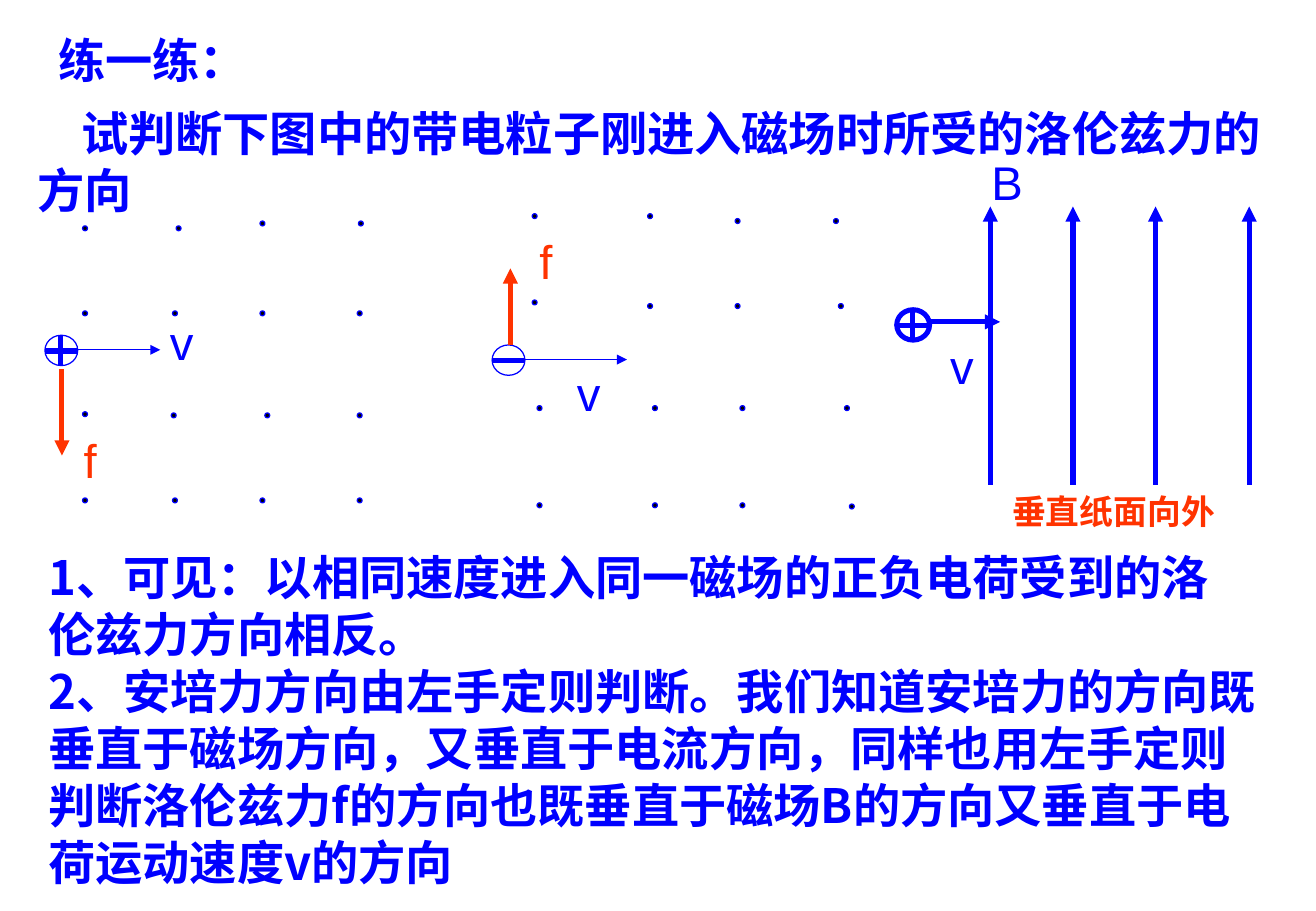
import pptx
import pptx.util
import pptx.dml.color
import pptx.enum.shapes
import pptx.enum.text
import pptx.oxml.ns
import lxml.etree

PX = 9144
BLUE = pptx.dml.color.RGBColor(0x00, 0x00, 0xFF)
RED = pptx.dml.color.RGBColor(0xFF, 0x33, 0x00)
BLACK = pptx.dml.color.RGBColor(0x00, 0x00, 0x00)
WHITE = pptx.dml.color.RGBColor(0xFF, 0xFF, 0xFF)
LATIN = "Arial"
CJK = "Noto Sans CJK SC"
CJK_LEADING = 1.207
DOT = 4
CHARGE_W, CHARGE_H = 27, 25
THIN, THICK = 0.75, 3

LEFT_DOTS = [
    (31, 4), (108, 4), (177, 0), (258, 0),
    (31, 74), (105, 74), (177, 74), (257, 74),
    (31, 157), (104, 158), (181, 158), (257, 158),
    (31, 228), (105, 228), (177, 228), (257, 228),
]
MIDDLE_DOTS = [
    (33, 0), (128, 0), (200, 4), (281, 4),
    (33, 71), (128, 74), (200, 74), (285, 74),
    (37, 158), (132, 158), (204, 158), (290, 158),
    (37, 238), (132, 238), (204, 238), (294, 239),
]


def sub(parent, tag, **attrs):
    """Append a DrawingML element to a parent."""
    return lxml.etree.SubElement(parent, pptx.oxml.ns.qn(tag), **attrs)


def add_ellipse(shapes, x, y, w, h, fill, weight):
    """Draw a blue-edged ellipse."""
    sp = shapes.add_shape(pptx.enum.shapes.MSO_SHAPE.OVAL, x * PX, y * PX, w * PX, h * PX)
    sp.shadow.inherit = False
    sp.fill.solid()
    sp.fill.fore_color.rgb = fill
    sp.line.color.rgb = BLUE
    sp.line.width = pptx.util.Pt(weight)


def add_line(shapes, x1, y1, x2, y2, weight=THICK, color=BLUE, arrow=False):
    """Draw a straight line, with an arrowhead at its end if asked."""
    cn = shapes.add_connector(
        pptx.enum.shapes.MSO_CONNECTOR.STRAIGHT, x1 * PX, y1 * PX, x2 * PX, y2 * PX)
    cn.line.color.rgb = color
    cn.line.width = pptx.util.Pt(weight)
    if arrow:
        sub(cn.line._get_or_add_ln(), "a:tailEnd", type="triangle")
    sub(cn._element.spPr, "a:effectLst")


def add_text(shapes, x, y, w, h, text, size=28, color=BLUE, font=LATIN,
             bold=False, wrap=False, indent=0):
    """Place a one-paragraph text box."""
    tf = shapes.add_textbox(x * PX, y * PX, w * PX, h * PX).text_frame
    tf.word_wrap = wrap
    tf.auto_size = pptx.enum.text.MSO_AUTO_SIZE.SHAPE_TO_FIT_TEXT
    p = tf.paragraphs[0]
    if indent:
        p._p.get_or_add_pPr().set("indent", str(indent * PX))
    r = p.add_run()
    r.text = text
    r.font.name = font
    r.font.size = pptx.util.Pt(size)
    r.font.bold = bold
    r.font.color.rgb = color
    if bold:
        p.line_spacing = pptx.util.Pt(size * CJK_LEADING)
        sub(r._r.get_or_add_rPr(), "a:ea", typeface=CJK)


def add_charge(shapes, x, y, positive, weight=THIN):
    """Draw a charged particle with its sign."""
    add_ellipse(shapes, x, y, CHARGE_W, CHARGE_H, WHITE, weight)
    add_line(shapes, x, y + 13, x + CHARGE_W, y + 13)
    if positive:
        add_line(shapes, x + 13, y, x + 13, y + CHARGE_H)


def add_dots(shapes, x, y, dots):
    """Draw field dots that point out of the page."""
    for dx, dy in dots:
        add_ellipse(shapes, x + dx, y + dy, DOT, DOT, BLACK, THIN)


def add_left_field(s, x, y):
    """Draw the positive charge in the outward field."""
    shapes = s.shapes.add_group_shape().shapes
    add_dots(shapes, x, y, LEFT_DOTS)
    add_charge(shapes, x, y + 94, True)
    add_line(shapes, x + 27, y + 106, x + 95, y + 106, THIN, arrow=True)
    add_text(shapes, x + 93, y + 71, 43, 57, "v")
    add_line(shapes, x + 14, y + 122, x + 14, y + 193, color=RED, arrow=True)
    add_text(shapes, x + 22, y + 168, 34, 57, "f", color=RED)


def add_middle_field(s, x, y):
    """Draw the negative charge in the outward field."""
    shapes = s.shapes.add_group_shape().shapes
    add_dots(shapes, x, y, MIDDLE_DOTS)
    add_charge(shapes, x, y + 108, False)
    add_line(shapes, x + 26, y + 120, x + 111, y + 120, THIN, arrow=True)
    add_text(shapes, x + 60, y + 119, 43, 57, "v")
    add_line(shapes, x + 15, y + 108, x + 15, y + 45, color=RED, arrow=True)
    add_text(shapes, x + 29, y + 10, 33, 57, "f", color=RED)


def add_right_field(s, x, y):
    """Draw the positive charge entering the upward field."""
    shapes = s.shapes.add_group_shape().shapes
    for dx in (77, 145, 213, 290):
        add_line(shapes, x + dx, y + 229, x + dx, y, arrow=True)
    add_charge(shapes, x, y + 85, True, THICK)
    add_line(shapes, x + 25, y + 95, x + 85, y + 95, arrow=True)
    add_text(shapes, x + 34, y + 103, 43, 57, "v")
    add_text(shapes, x + 68, y - 49, 50, 57, "B")
    add_text(s.shapes, x + 85, y + 229, 222, 43, "垂直纸面向外", 20, RED, bold=True, wrap=True)


def add_question(s, x, y):
    """Write the heading and the question."""
    add_text(s.shapes, x + 17, y, 176, 57, "练一练：", bold=True)
    add_text(s.shapes, x, y + 60, 1035, 103,
             "试判断下图中的带电粒子刚进入磁场时所受的洛伦兹力的方向",
             font=CJK, bold=True, wrap=True, indent=36)


def add_conclusions(s, x, y):
    """Write the two numbered conclusions."""
    add_text(s.shapes, x, y, 1007, 103,
             "1、可见：以相同速度进入同一磁场的正负电荷受到的洛伦兹力方向相反。",
             font=CJK, bold=True, wrap=True)
    add_text(s.shapes, x, y + 94, 1015, 197,
             "2、安培力方向由左手定则判断。我们知道安培力的方向既垂直于磁场方向，"
             "又垂直于电流方向，同样也用左手定则判断洛伦兹力f的方向也既垂直于磁场B的方向"
             "又垂直于电荷运动速度v的方向",
             font=CJK, bold=True, wrap=True)


def main():
    """Build the slide and save it."""
    prs = pptx.Presentation()
    prs.slide_width = 1083 * PX
    prs.slide_height = 750 * PX
    s = prs.slides.add_slide(prs.slide_layouts[6])
    add_left_field(s, 37, 182)
    add_right_field(s, 738, 170)
    add_middle_field(s, 405, 176)
    add_question(s, 21, 21)
    add_conclusions(s, 30, 446)
    prs.save("out.pptx")


if __name__ == "__main__":
    main()
